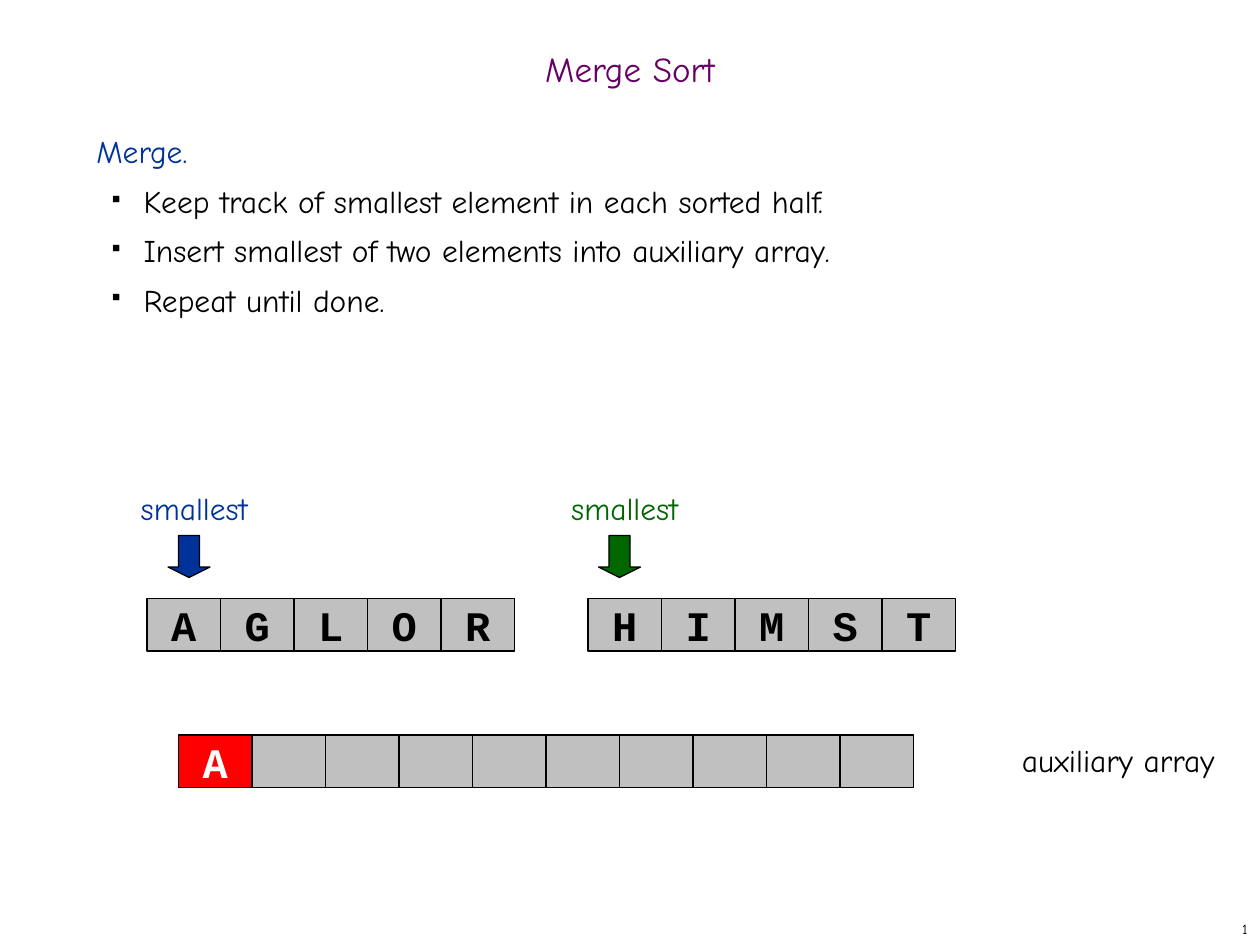
from dataclasses import dataclass

from lxml.etree import SubElement
from pptx import Presentation
from pptx.dml.color import RGBColor
from pptx.enum.shapes import MSO_SHAPE as Shape
from pptx.enum.text import MSO_ANCHOR as Anchor, MSO_AUTO_SIZE as AutoSize, PP_ALIGN as Align
from pptx.oxml.ns import qn
from pptx.util import Emu, Pt

EMU_PER_PX = 7620  # 120 px to the inch


@dataclass(frozen=True)
class Theme:
    black: str = "000000"
    white: str = "FFFFFF"
    blue: str = "003399"
    green: str = "006600"
    purple: str = "660066"
    red: str = "FF0000"
    gray: str = "C0C0C0"
    arrow_line: str = "010000"
    text_font: str = "Comic Neue"
    cell_font: str = "Courier New"
    title_size: int = 20
    text_size: int = 18
    cell_size: int = 24
    number_size: int = 8
    line_width: float = 0.75


THEME = Theme()
CELL_WIDTH, CELL_HEIGHT = 70, 50


def px(*lengths):
    return [Emu(length * EMU_PER_PX) for length in lengths]


def apply(target, formats):
    for name, value in formats.items():
        setattr(target, name, value)


def write(para, text, color, size=THEME.text_size, font=THEME.text_font, bold=False, **formats):
    apply(para, formats)
    span = para.add_run()
    span.text = text
    apply(span.font, {"name": font, "size": Pt(size), "bold": bold})
    span.font.color.rgb = RGBColor.from_string(color)


def add_text_frame(page, box, **formats):
    frame = page.shapes.add_textbox(*px(*box)).text_frame
    apply(frame, {"word_wrap": True, **formats})
    return frame


def add_filled(shapes, kind, box, fill, line):
    shape = shapes.add_shape(kind, *px(*box))
    shape.shadow.inherit = False
    shape.fill.solid()
    shape.fill.fore_color.rgb = RGBColor.from_string(fill)
    shape.line.color.rgb = RGBColor.from_string(line)
    shape.line.width = Pt(THEME.line_width)
    return shape


def add_bullet(para):
    props = para._p.get_or_add_pPr()
    apply_indent = {"lvl": 1, "marL": 45 * EMU_PER_PX, "indent": -30 * EMU_PER_PX}
    for name, value in apply_indent.items():
        props.set(name, str(value))
    color = SubElement(props, qn("a:buClr"))
    SubElement(color, qn("a:srgbClr"), val=THEME.black)
    SubElement(props, qn("a:buSzPct"), val="35000")
    SubElement(props, qn("a:buChar"), char="■")


def add_title(page, box, text):
    frame = add_text_frame(page, box, vertical_anchor=Anchor.MIDDLE)
    write(frame.paragraphs[0], text, THEME.purple, THEME.title_size,
          alignment=Align.CENTER, line_spacing=0.7)


def add_body(page, box, heading, points):
    frame = add_text_frame(page, box)
    write(frame.paragraphs[0], heading, THEME.blue, space_before=Pt(4.5))
    for point in points:
        para = frame.add_paragraph()
        write(para, point, THEME.black, space_before=Pt(4.5), line_spacing=1.1)
        add_bullet(para)


def add_label(page, box, text, color):
    frame = add_text_frame(page, box, auto_size=AutoSize.SHAPE_TO_FIT_TEXT)
    write(frame.paragraphs[0], text, color, alignment=Align.CENTER, space_before=Pt(11.2))


def add_pointer(page, box, color):
    """Label with a down arrow under it."""
    left, top, width, height = box
    add_label(page, (left, top, width, height), "smallest", color)
    add_filled(page.shapes, Shape.DOWN_ARROW, (left + 100, top + 50, 40, 40),
               color, THEME.arrow_line).adjustments[1] = 0.25


def add_cell(shapes, left, top, letter="", fill=THEME.gray, color=THEME.black):
    cell = add_filled(shapes, Shape.RECTANGLE, (left, top, CELL_WIDTH, CELL_HEIGHT),
                      fill, THEME.black)
    if letter:
        apply(cell.text_frame, {"word_wrap": False, "vertical_anchor": Anchor.MIDDLE})
        write(cell.text_frame.paragraphs[0], letter, color, THEME.cell_size,
              THEME.cell_font, True, alignment=Align.CENTER)


def add_sorted_half(page, left, top, letters):
    group = page.shapes.add_group_shape()
    for index, letter in enumerate(letters):
        add_cell(group.shapes, left + index * CELL_WIDTH, top, letter)


def add_auxiliary_array(page, left, top, merged, length):
    for index in range(length):
        position = left + index * CELL_WIDTH, top
        if index < len(merged):
            add_cell(page.shapes, *position, merged[index], THEME.red, THEME.white)
        else:
            add_cell(page.shapes, *position)
    add_label(page, (950, top, 230, 48), "auxiliary array", THEME.black)


def add_page_number(page, box, number):
    frame = add_text_frame(page, box, vertical_anchor=Anchor.MIDDLE)
    write(frame.paragraphs[0], number, THEME.black, THEME.number_size, alignment=Align.RIGHT)


def main():
    deck = Presentation()
    deck.slide_width, deck.slide_height = px(1200, 900)
    page = deck.slides.add_slide(deck.slide_layouts[6])

    # Heading and explanation
    add_title(page, (0, 30, 1200, 80), "Merge Sort")
    add_body(page, (80, 120, 1030, 710), "Merge.", [
        "Keep track of smallest element in each sorted half.",
        "Insert smallest of two elements into auxiliary array.",
        "Repeat until done.",
    ])

    # Sorted halves, each with its pointer
    for pointer_left, color, half_left, letters in (
        (60, THEME.blue, 140, "AGLOR"),
        (470, THEME.green, 560, "HIMST"),
    ):
        add_pointer(page, (pointer_left, 460, 250, 48), color)
        add_sorted_half(page, half_left, 570, letters)

    # Merged result so far
    add_auxiliary_array(page, 170, 700, "A", 10)
    add_page_number(page, (950, 870, 250, 30), "1")

    deck.save("out.pptx")


if __name__ == "__main__":
    main()
